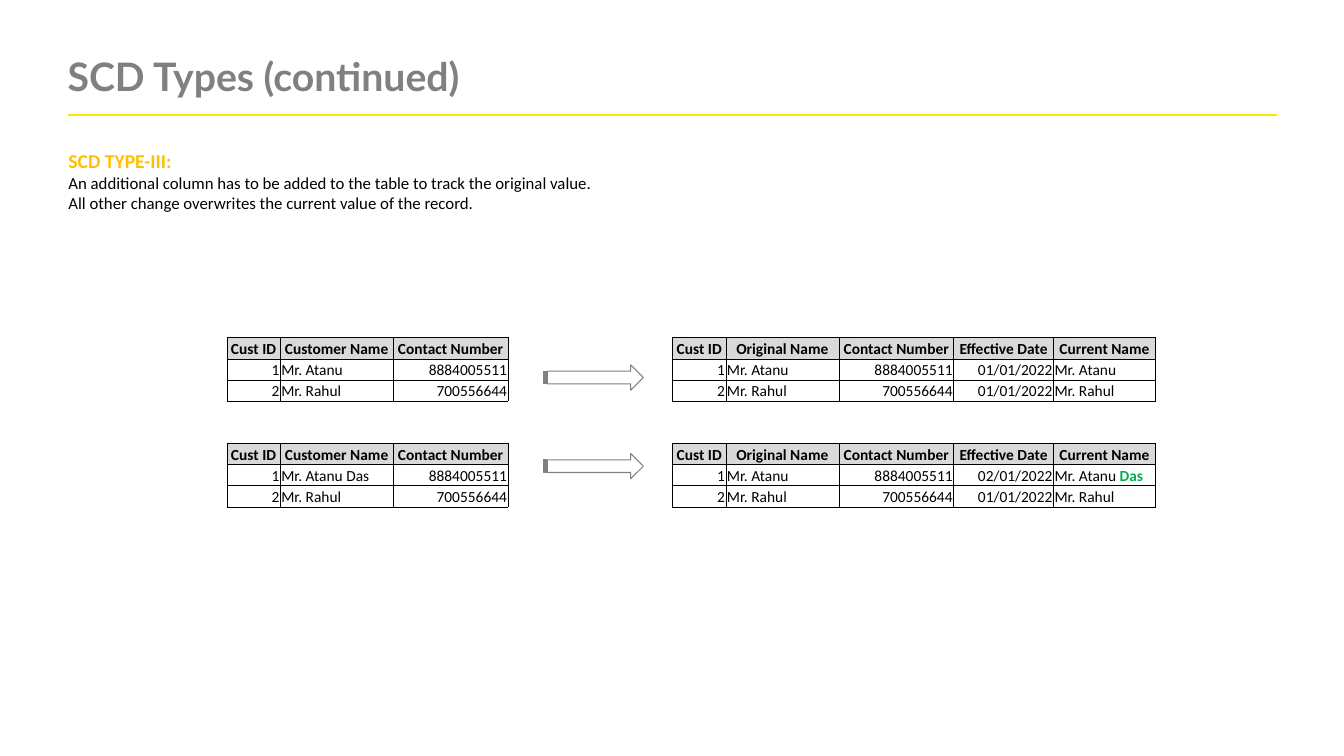
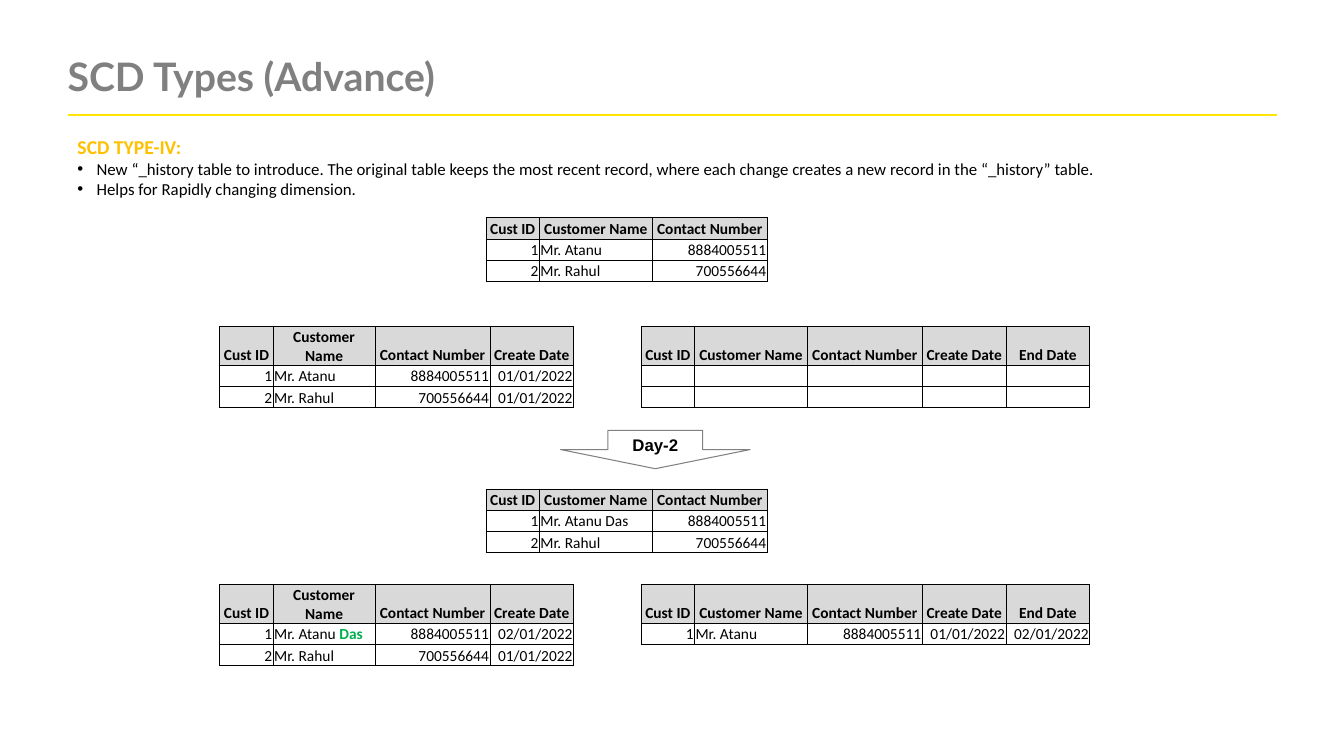
import lxml.etree
import pptx
import pptx.dml.color
import pptx.enum.shapes
import pptx.enum.text
import pptx.oxml.ns
import pptx.util

Inches = pptx.util.Inches
Pt = pptx.util.Pt
Align = pptx.enum.text.PP_ALIGN
Anchor = pptx.enum.text.MSO_ANCHOR
Shape = pptx.enum.shapes.MSO_SHAPE
qn = pptx.oxml.ns.qn

ROW = 0.21
TALL = 0.38
GREY = "808080"
BLACK = "000000"
SIDES = {"lnL": (0, -1), "lnR": (0, 1), "lnT": (-1, 0), "lnB": (1, 0)}


def color(code):
    return pptx.dml.color.RGBColor.from_string(code)


def apply(item, values):
    for name, value in values.items():
        setattr(item, name, value)


def font(size, code=BLACK, bold=False, face="Calibri"):
    return {"size": Pt(size), "bold": bold, "name": face, "code": code}


def margins(left, top, right, bottom):
    names = ("margin_left", "margin_top", "margin_right", "margin_bottom")
    return dict(zip(names, map(Inches, (left, top, right, bottom))))


class Deck:
    title_font = font(28, GREY, True, "Lato")
    lead_font = font(14, "FFC000", True)
    body_font = font(12)
    head_font = font(11, bold=True)
    cell_font = font(11)
    new_font = font(11, "00B050", True)
    mark_font = font(12, bold=True, face="Arial")
    cell_format = {"vertical_anchor": Anchor.BOTTOM, **margins(0.01, 0.01, 0.01, 0)}

    def __init__(self):
        self.prs = pptx.Presentation()
        apply(self.prs, {"slide_width": Inches(13.33), "slide_height": Inches(7.5)})
        self.shapes = None

    def label(self, para, text, style):
        run = para.add_run()
        run.text = text
        values = dict(style)
        run.font.color.rgb = color(values.pop("code"))
        apply(run.font, values)

    def box(self, left, top, width, height, **values):
        frame = self.shapes.add_textbox(*map(Inches, (left, top, width, height))).text_frame
        apply(frame, {"word_wrap": True, **values})
        return frame

    def slide(self, title):
        self.shapes = self.prs.slides.add_slide(self.prs.slide_layouts[6]).shapes
        self.rule(0.67, 1.14, 12.67)
        para = self.box(0.67, 0.59, 12, 0.56, **margins(0, 0, 0, 0)).paragraphs[0]
        para.line_spacing = 0.85
        self.label(para, title, self.title_font)

    def rule(self, left, top, right):
        kind = pptx.enum.shapes.MSO_CONNECTOR.STRAIGHT
        line = self.shapes.add_connector(kind, *map(Inches, (left, top, right, top)))
        line.line.color.rgb = color("FFE600")
        line.line.width = Pt(1.5)
        lxml.etree.SubElement(line.element.spPr, qn("a:effectLst"))

    def notes(self, left, top, width, lead, lines, bullets=False):
        fit = pptx.enum.text.MSO_AUTO_SIZE.SHAPE_TO_FIT_TEXT
        frame = self.box(left, top, width, 0.74, auto_size=fit)
        self.label(frame.paragraphs[0], lead, self.lead_font)
        for line in lines:
            para = frame.add_paragraph()
            self.label(para, line, self.body_font)
            if bullets:
                props = para._p.get_or_add_pPr()
                props.set("marL", str(Inches(0.19)))
                props.set("indent", str(-Inches(0.19)))
                lxml.etree.SubElement(props, qn("a:buFont"), typeface="Arial")
                lxml.etree.SubElement(props, qn("a:buChar"), char="•")

    def arrow(self, kind, left, top, width, height, text=""):
        shape = self.shapes.add_shape(kind, *map(Inches, (left, top, width, height)))
        shape.shadow.inherit = False
        shape.fill.background()
        shape.line.color.rgb = color(GREY)
        shape.line.width = Pt(0.75)
        if text:
            apply(shape.text_frame, {"word_wrap": True, "vertical_anchor": Anchor.MIDDLE})
            para = shape.text_frame.paragraphs[0]
            para.alignment = Align.CENTER
            self.label(para, text, self.mark_font)

    def table(self, left, top, widths, rows, head=ROW):
        heights = [head] + [ROW] * (len(rows) - 1)
        size = (left, top, sum(widths), sum(heights))
        item = self.shapes.add_table(len(rows), len(widths), *map(Inches, size))
        for style in item.element.iter(qn("a:tableStyleId")):
            style.text = "{2D5ABB26-0587-4C30-8999-92F81FD0307C}"
        grid = item.table
        apply(grid, {"first_row": False, "horz_banding": False})
        for col, width in zip(grid.columns, widths):
            col.width = Inches(width)
        for row, height in zip(grid.rows, heights):
            row.height = Inches(height)
        for y, row in enumerate(rows):
            for x, value in enumerate(row):
                cell = grid.cell(y, x)
                self.fill(cell, value, row[0] == "Cust ID")
                self.edge(cell, rows, y, x)

    def fill(self, cell, value, head):
        apply(cell, self.cell_format)
        para = cell.text_frame.paragraphs[0]
        if not value:
            cell.fill.background()
            lxml.etree.SubElement(para._p, qn("a:endParaRPr"), sz="1100")
            return
        base, *extra = value if isinstance(value, tuple) else (value,)
        self.label(para, base, self.head_font if head else self.cell_font)
        for text in extra:
            self.label(para, text, self.new_font)
        if head:
            cell.fill.solid()
            cell.fill.fore_color.rgb = color("D9D9D9")
            para.alignment = Align.CENTER
        else:
            cell.fill.background()
            para.alignment = Align.RIGHT if base[0].isdigit() else Align.LEFT

    def edge(self, cell, rows, y, x):
        def used(v, h):
            return 0 <= v < len(rows) and 0 <= h < len(rows[v]) and rows[v][h] is not None

        props = cell._tc.get_or_add_tcPr()
        for spot, (tag, (down, right)) in enumerate(SIDES.items()):
            line = lxml.etree.Element(qn("a:" + tag), w=str(Pt(0.5)))
            if used(y, x) or used(y + down, x + right):
                paint = lxml.etree.SubElement(line, qn("a:solidFill"))
                lxml.etree.SubElement(paint, qn("a:srgbClr"), val=BLACK)
            else:
                lxml.etree.SubElement(line, qn("a:noFill"))
            props.insert(spot, line)


ATANU, RAHUL = "Mr. Atanu", "Mr. Rahul"
FULL = "Mr. Atanu Das"
FRESH = ("Mr. Atanu ", "Das")
FIRST, NEXT = "01/01/2022", "02/01/2022"
HEAD = ["Cust ID", "Customer Name", "Contact Number"]
BASE = [0.53, 1.12, 1.14]
DATED = [0.53, 1.01, 1.14, 0.83]
PAST = BASE + [0.83, 0.83]


def people(name, label="Customer Name"):
    return [
        ["Cust ID", label, "Contact Number"],
        ["1", name, "8884005511"],
        ["2", RAHUL, "700556644"],
    ]


def join(left, right):
    return [a + b for a, b in zip(left, right)]


def tracked(date, name):
    extra = [["Effective Date", "Current Name"], [date, name], [FIRST, RAHUL]]
    return join(people(ATANU, "Original Name"), extra)


def stack(upper, lower):
    gap = [[None] * len(upper[0])] * 2
    return upper + gap + lower


def history(name, date, past):
    dates = [["Create Date", None], [date, None], [FIRST, None]]
    old = [HEAD + ["Create Date", "End Date"]] + past
    return join(join(people(name), dates), old)


def main():
    deck = Deck()

    deck.slide("SCD Types (continued)")
    deck.table(2.25, 3.35, BASE, stack(people(ATANU), people(FULL)))
    for top in (3.62, 4.5):
        deck.arrow(Shape.STRIPED_RIGHT_ARROW, 5.39, top, 0.99, 0.25)
    deck.notes(0.58, 1.43, 11.91, "SCD TYPE-III:", [
        "An additional column has to be added to the table to track the original value.",
        "All other change overwrites the current value of the record.",
    ])
    deck.table(6.67, 3.35, BASE + [0.99, 1.01],
               stack(tracked(FIRST, ATANU), tracked(NEXT, FRESH)))

    deck.slide("SCD Types (Advance)")
    deck.notes(0.67, 1.29, 11.85, "SCD TYPE-IV:", [
        "New “_history table to introduce. The original table keeps the most recent record, "
        "where each change creates a new record in the “_history” table.",
        "Helps for Rapidly changing dimension.",
    ], bullets=True)
    blank = [[""] * 5] * 2
    closed = [["1", ATANU, "8884005511", FIRST, NEXT], [None] * 5]
    days = [
        (2.16, ATANU, 3.24, history(ATANU, FIRST, blank)),
        (4.85, FULL, 5.8, history(FRESH, NEXT, closed)),
    ]
    for top, name, low, rows in days:
        deck.table(4.82, top, BASE, people(name))
        deck.table(2.18, low, DATED + [0.67] + PAST, rows, TALL)
    deck.arrow(Shape.DOWN_ARROW, 5.56, 4.27, 1.88, 0.38, "Day-2")

    deck.prs.save("out.pptx")


if __name__ == "__main__":
    main()
